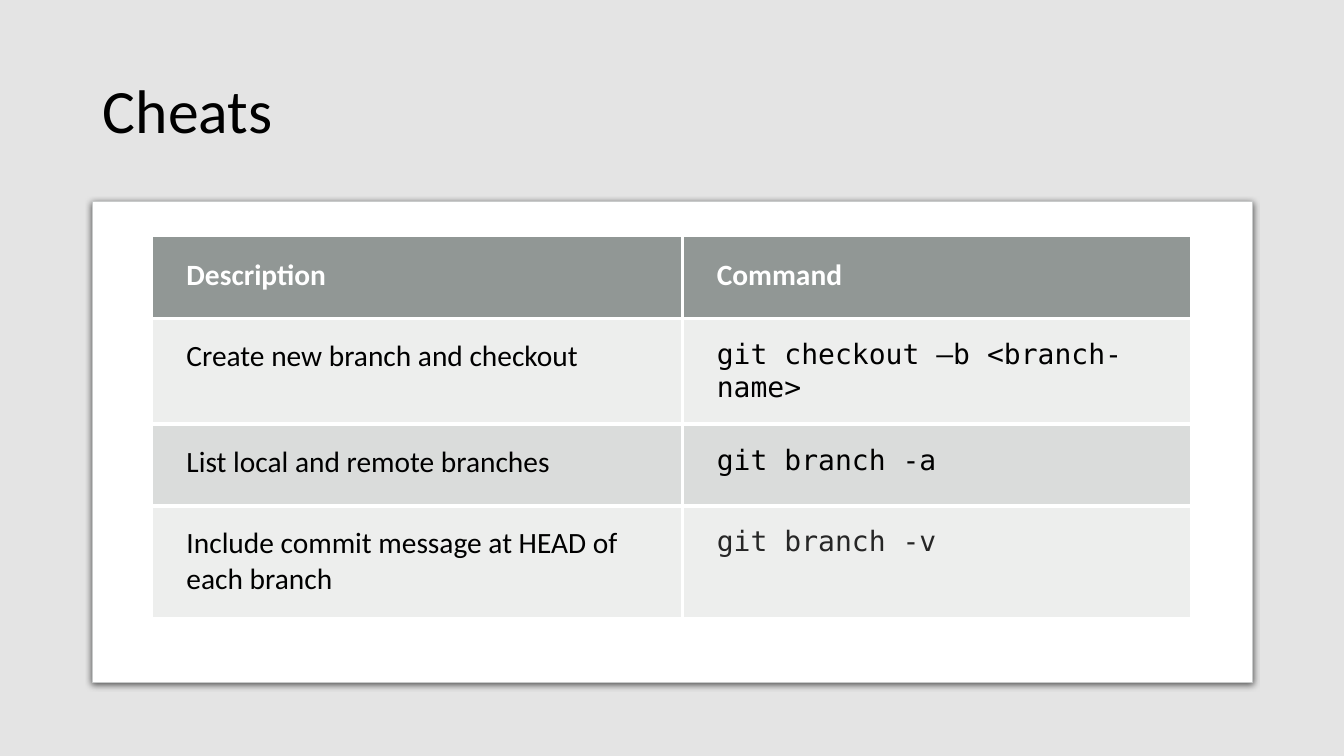
from dataclasses import dataclass

from lxml import etree
from pptx import Presentation
from pptx import util as u
from pptx.dml.color import RGBColor
from pptx.enum import shapes, text
from pptx.oxml import ns

BLACK = RGBColor(0x00, 0x00, 0x00)
WHITE = RGBColor(0xFF, 0xFF, 0xFF)
CHARCOAL = RGBColor(0x26, 0x26, 0x26)
BACKDROP = RGBColor(0xD9, 0xD9, 0xD9)
CARD_LINE = RGBColor(0xC8, 0xCA, 0xCA)
HEADER = RGBColor(0x63, 0x6B, 0x68)
BAND = RGBColor(0x87, 0x8E, 0x8B)

SANS = "Calibri"
MONO = "DejaVu Sans Mono"


@dataclass
class Cheat:
    description: str
    command: str
    color: RGBColor = BLACK


CHEATS = [
    Cheat("Create new branch and checkout", "git checkout –b <branch-name>"),
    Cheat("List local and remote branches", "git branch -a"),
    Cheat("Include commit message at HEAD of each branch", "git branch -v", CHARCOAL),
]


def write(tf, content: str, *, size: float = 21, font: str = SANS,
          color: RGBColor = BLACK, bold: bool = False,
          spacing: float | None = None) -> None:
    p = tf.paragraphs[0]
    p.alignment = text.PP_ALIGN.LEFT
    p.line_spacing = spacing
    r = p.add_run()
    r.text = content
    r.font.size = u.Pt(size)
    r.font.name = font
    r.font.bold = bold
    r.font.color.rgb = color


def paint(fill, color: RGBColor, opacity: int = 100) -> None:
    fill.solid()
    fill.fore_color.rgb = color


def set_opacity(element, percent: int) -> None:
    color = element.find(".//" + ns.qn("a:solidFill") + "/" + ns.qn("a:srgbClr"))
    etree.SubElement(color, ns.qn("a:alpha"), val=str(percent * 1000))


def add_panel(s, kind, left: float, top: float, width: float, height: float,
              color: RGBColor):
    sp = s.shapes.add_shape(kind, u.Inches(left), u.Inches(top),
                            u.Inches(width), u.Inches(height))
    sp.shadow.inherit = False
    paint(sp.fill, color)
    sp.line.fill.background()
    return sp


def add_shadow(sp) -> None:
    effects = sp.element.spPr.find(ns.qn("a:effectLst"))
    shadow = etree.SubElement(effects, ns.qn("a:outerShdw"), blurRad=str(u.Pt(4.5)),
                              dist=str(u.Pt(1.5)), dir="5400000", rotWithShape="0")
    color = etree.SubElement(shadow, ns.qn("a:srgbClr"), val=str(BLACK))
    etree.SubElement(color, ns.qn("a:alpha"), val="63000")


def add_borders(cell, sides: str) -> None:
    tc_pr = cell._tc.get_or_add_tcPr()
    for i, side in enumerate(sides):
        line = etree.Element(ns.qn(f"a:ln{side}"), w=str(u.Pt(3)))
        fill = etree.SubElement(line, ns.qn("a:solidFill"))
        etree.SubElement(fill, ns.qn("a:srgbClr"), val=str(WHITE))
        tc_pr.insert(i, line)


def format_cell(cell, color: RGBColor, opacity: int, sides: str) -> None:
    cell.margin_left = u.Inches(0.34)
    cell.margin_right = cell.margin_top = cell.margin_bottom = u.Inches(0.2)
    paint(cell.fill, color)
    set_opacity(cell._tc.tcPr, opacity)
    add_borders(cell, sides)


def add_cheat_table(s, cheats: list[Cheat]) -> None:
    rows = len(cheats) + 1
    table = s.shapes.add_table(rows, 2, u.Inches(1.51), u.Inches(2.35),
                               u.Inches(10.3), u.Inches(0.81 * rows)).table
    for column, width in zip(table.columns, (5.26, 5.04)):
        column.width = u.Inches(width)

    for col, heading in enumerate(("Description", "Command")):
        write(table.cell(0, col).text_frame, heading, color=WHITE, bold=True)
    for row, cheat in enumerate(cheats, 1):
        write(table.cell(row, 0).text_frame, cheat.description)
        write(table.cell(row, 1).text_frame, cheat.command, size=20, font=MONO,
              color=cheat.color)

    for row in range(rows):
        color, opacity = (HEADER, 70) if row == 0 else (BAND, 15 if row % 2 else 30)
        for col in range(2):
            sides = "RL"[col] + ("T" if row else "") + ("B" if row < rows - 1 else "")
            format_cell(table.cell(row, col), color, opacity, sides)


def main() -> None:
    prs = Presentation()
    prs.slide_width, prs.slide_height = u.Inches(13.33), u.Inches(7.5)
    s = prs.slides.add_slide(prs.slide_layouts[5])

    title = s.shapes.title
    title.left, title.top = u.Inches(0.92), u.Inches(0.4)
    title.width, title.height = u.Inches(11.5), u.Inches(1.45)
    title.text_frame.vertical_anchor = text.MSO_ANCHOR.MIDDLE
    write(title.text_frame, "Cheats", size=44, spacing=0.9)

    backdrop = add_panel(s, shapes.MSO_SHAPE.RECTANGLE, 0, -0.01, 13.33, 7.51, BACKDROP)
    set_opacity(backdrop.element.spPr, 70)
    title.element.addprevious(backdrop.element)

    card = add_panel(s, shapes.MSO_SHAPE.ROUNDED_RECTANGLE, 0.92, 2, 11.5, 4.77, WHITE)
    card.adjustments[0] = 0
    card.line.color.rgb = CARD_LINE
    card.line.width = u.Pt(0.75)
    add_shadow(card)

    add_cheat_table(s, CHEATS)
    prs.save("out.pptx")


if __name__ == "__main__":
    main()
